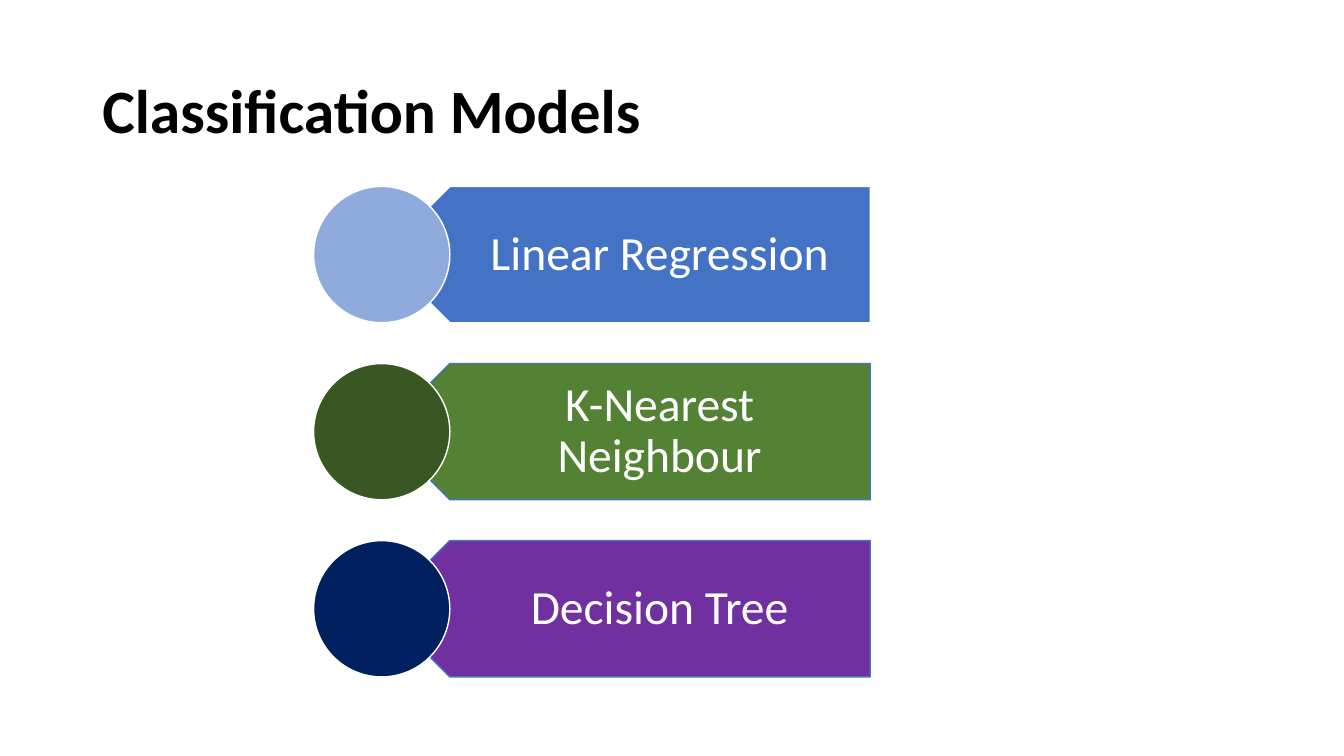
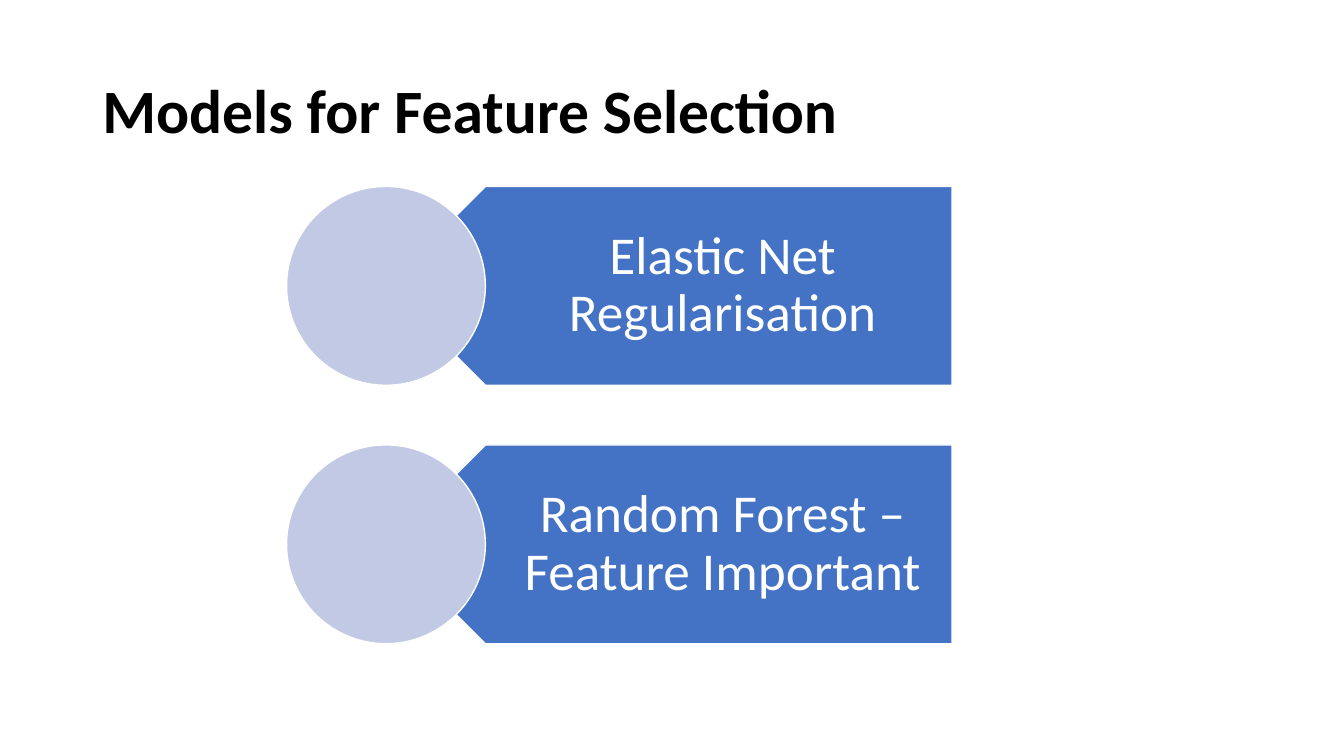
"""Two slides that list classification and feature selection models as labelled tags."""
from pptx import Presentation
from pptx.dml.color import RGBColor
from pptx.enum.shapes import MSO_SHAPE as Preset
from pptx.enum.text import MSO_ANCHOR as Anchor, PP_ALIGN as Align
from pptx.util import Pt

WHITE = RGBColor(0xFF, 0xFF, 0xFF)
BLACK = RGBColor(0x00, 0x00, 0x00)
BLUE = RGBColor(0x44, 0x72, 0xC4)
LIGHT_BLUE = RGBColor(0x8F, 0xAA, 0xDC)
PALE_BLUE = RGBColor(0xC1, 0xC9, 0xE4)
NAVY = RGBColor(0x00, 0x20, 0x60)
GREEN = RGBColor(0x54, 0x82, 0x35)
DARK_GREEN = RGBColor(0x38, 0x57, 0x23)
PURPLE = RGBColor(0x70, 0x30, 0xA0)
FONT = "Calibri"
LIST_TOP = 133.2

presentation = Presentation()
presentation.slide_width, presentation.slide_height = Pt(960), Pt(540)


def add_text(slide, text, box, size, color, bold=False, align=Align.LEFT, insets=(7.2, 3.6, 7.2, 3.6)):
    frame = slide.shapes.add_textbox(*map(Pt, box)).text_frame
    frame.word_wrap = True
    frame.vertical_anchor = Anchor.MIDDLE
    frame.margin_left, frame.margin_top, frame.margin_right, frame.margin_bottom = map(Pt, insets)
    paragraph = frame.paragraphs[0]
    paragraph.text = text
    paragraph.alignment = align
    paragraph.line_spacing = 0.9
    font = paragraph.font
    font.name, font.size, font.bold = FONT, Pt(size), bold
    font.color.rgb = color


def add_outlined(slide, preset, box, fill, line):
    shape = slide.shapes.add_shape(preset, *map(Pt, box))
    shape.shadow.inherit = False
    shape.fill.solid()
    shape.fill.fore_color.rgb = fill
    shape.line.color.rgb = line
    shape.line.width = Pt(1)
    return shape


slides = [
    ("Classification Models", 224, 97.3, 349, 34, [
        ("Linear Regression", BLUE, WHITE, LIGHT_BLUE),
        ("K-Nearest Neighbour", GREEN, BLUE, DARK_GREEN),
        ("Decision Tree", PURPLE, BLUE, NAVY),
    ]),
    ("Models for Feature Selection", 204.7, 142, 404.4, 38, [
        ("Elastic Net Regularisation", BLUE, WHITE, PALE_BLUE),
        ("Random Forest – Feature Important", BLUE, WHITE, PALE_BLUE),
    ]),
]

for title, circle_left, height, tag_width, text_size, models in slides:
    slide = presentation.slides.add_slide(presentation.slide_layouts[6])
    add_text(slide, title, (66, 28.75, 828, 104.4), 44, BLACK, bold=True)
    tag_left = circle_left + height / 2
    point = height / 4
    insets = (0.44 * height, 0.3 * text_size, 0.56 * text_size, 0.3 * text_size)
    for row, (name, tag_fill, tag_line, circle_fill) in enumerate(models):
        top = LIST_TOP + row * 1.3 * height
        tag = add_outlined(slide, Preset.PENTAGON, (tag_left, top, tag_width, height), tag_fill, tag_line)
        tag.rotation = 180
        add_text(slide, name, (tag_left + point, top, tag_width - point, height),
                 text_size, WHITE, align=Align.CENTER, insets=insets)
        add_outlined(slide, Preset.OVAL, (circle_left, top, height, height), circle_fill, WHITE)

presentation.save("out.pptx")
